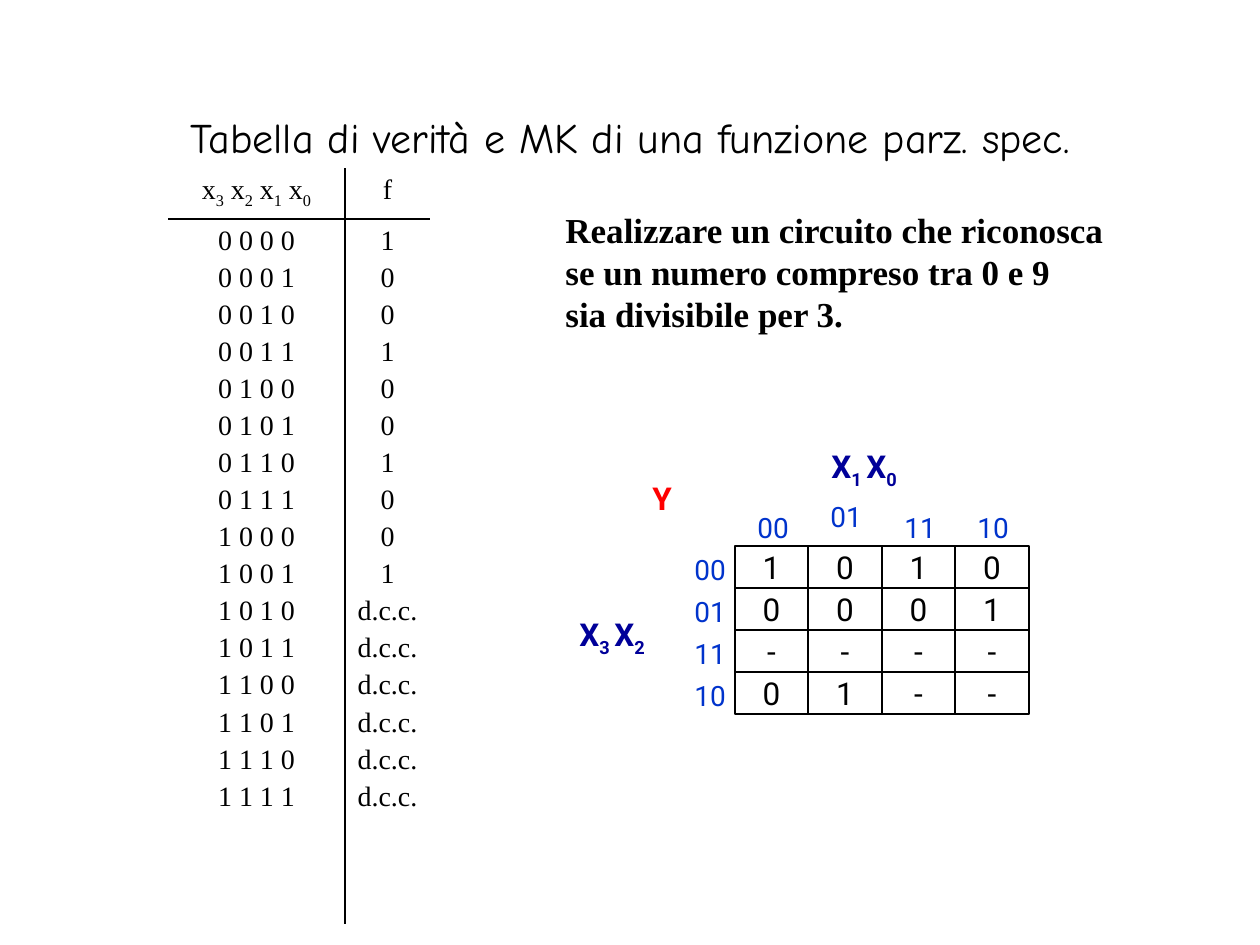
from dataclasses import dataclass

from lxml.etree import SubElement
from pptx import Presentation
from pptx.dml.color import RGBColor
from pptx.enum.shapes import MSO_SHAPE
from pptx.enum.text import MSO_ANCHOR, MSO_AUTO_SIZE, PP_ALIGN
from pptx.oxml.ns import qn
from pptx.util import Emu, Pt


@dataclass(frozen=True)
class TextStyle:
    font: str
    size: int
    color: str = "000000"
    bold: bool = False


@dataclass(frozen=True)
class Theme:
    title: TextStyle = TextStyle("Comic Neue", 24)
    truth: TextStyle = TextStyle("Times New Roman", 16)
    task: TextStyle = TextStyle("Times New Roman", 20, bold=True)
    value: TextStyle = TextStyle("Roboto", 18)
    code: TextStyle = TextStyle("Roboto", 16, "0033CC")
    variable: TextStyle = TextStyle("Roboto", 18, "000099", True)
    output: TextStyle = TextStyle("Roboto", 18, "FF0000", True)
    rule: str = "000000"
    rule_width: float = 1.08
    cell_line: float = 0.75
    row_gap: float = 3.4


@dataclass(frozen=True)
class Box:
    left: int
    top: int
    width: int
    height: int

    def emu(self) -> tuple:
        return tuple(px(v) for v in (self.left, self.top, self.width, self.height))


@dataclass(frozen=True)
class Label:
    box: Box
    lines: tuple
    style: TextStyle
    wrap: bool = False


THEME = Theme()
PX_PER_INCH = 126
GRAY_CODES = ("00", "01", "11", "10")
KARNAUGH = ("1010", "0001", "----", "01--")
TRUTH_OUTPUTS = ("1", "0", "0", "1", "0", "0", "1", "0", "0", "1") + ("d.c.c.",) * 6
MAP = Box(735, 546, 294, 168)


def px(length: int) -> Emu:
    return Emu(round(length * 914400 / PX_PER_INCH))


def format_run(run, style: TextStyle) -> None:
    run.font.name = style.font
    run.font.size = Pt(style.size)
    run.font.bold = style.bold
    run.font.color.rgb = RGBColor.from_string(style.color)


def write_lines(frame, lines: tuple, style: TextStyle, align=PP_ALIGN.LEFT, gap: float = 0) -> None:
    for index, line in enumerate(lines):
        paragraph = frame.add_paragraph() if index else frame.paragraphs[0]
        paragraph.alignment = align
        if index and gap:
            paragraph.space_before = Pt(gap)
        if isinstance(line, str):
            paragraph.text = line
            format_run(paragraph.runs[0], style)
            continue
        for position, part in enumerate(line):
            run = paragraph.add_run()
            run.text = part
            format_run(run, style)
            if position % 2:
                run.font._element.set("baseline", "-25000")


def add_label(slide, label: Label) -> None:
    frame = slide.shapes.add_textbox(*label.box.emu()).text_frame
    frame.word_wrap = label.wrap
    frame.auto_size = MSO_AUTO_SIZE.SHAPE_TO_FIT_TEXT
    write_lines(frame, label.lines, label.style)


def set_borders(cell, ruled: str) -> None:
    properties = cell._tc.get_or_add_tcPr()
    for side in "LRTB":
        line = SubElement(properties, qn(f"a:ln{side}"), w=str(Pt(THEME.rule_width)))
        if side in ruled:
            fill = SubElement(line, qn("a:solidFill"))
            SubElement(fill, qn("a:srgbClr"), val=THEME.rule)
        else:
            SubElement(line, qn("a:noFill"))
    cell.fill.background()


def add_truth_table(slide) -> None:
    table = slide.shapes.add_table(2, 2, *Box(168, 168, 262, 756).emu()).table
    table.first_row = table.horz_banding = False
    for column, width in zip(table.columns, (177, 85)):
        column.width = px(width)
    for row, height in zip(table.rows, (51, 705)):
        row.height = px(height)
    inputs = tuple(" ".join(f"{number:04b}") for number in range(16))
    contents = (
        ((("x", "3", " x", "2", " x", "1", " x", "0"),), ("f",)),
        (inputs, TRUTH_OUTPUTS),
    )
    for row, entries in enumerate(contents):
        for column, lines in enumerate(entries):
            cell = table.cell(row, column)
            write_lines(cell.text_frame, lines, THEME.truth, PP_ALIGN.CENTER, THEME.row_gap)
            set_borders(cell, "RL"[column] + "BT"[row])


def add_map_cell(slide, box: Box, value: str) -> None:
    square = slide.shapes.add_shape(MSO_SHAPE.RECTANGLE, *box.emu())
    square.shadow.inherit = False
    square.fill.background()
    square.line.color.rgb = RGBColor.from_string(THEME.rule)
    square.line.width = Pt(THEME.cell_line)
    square.text_frame.word_wrap = False
    square.text_frame.vertical_anchor = MSO_ANCHOR.MIDDLE
    write_lines(square.text_frame, (value,), THEME.value, PP_ALIGN.CENTER)


def add_karnaugh_map(slide) -> None:
    lefts = [MAP.left + MAP.width * step // 4 for step in range(5)]
    tops = [MAP.top + MAP.height * step // 4 for step in range(5)]
    for row, values in enumerate(KARNAUGH):
        for column, value in enumerate(values):
            width = lefts[column + 1] - lefts[column]
            height = tops[row + 1] - tops[row]
            add_map_cell(slide, Box(lefts[column], tops[row], width, height), value)
    for code, left, top in zip(GRAY_CODES, lefts, tops):
        header_top = 493 if code == "01" else 504
        add_label(slide, Label(Box(left + 10, header_top, 57, 47), (code,), THEME.code))
        add_label(slide, Label(Box(682, top, 57, 47), (code,), THEME.code))


def main() -> None:
    deck = Presentation()
    deck.slide_width, deck.slide_height = px(1260), px(945)
    slide = deck.slides.add_slide(deck.slide_layouts[5])

    title = slide.shapes.title
    title.left, title.top, title.width, title.height = Box(94, 84, 1072, 105).emu()
    title.text_frame.vertical_anchor = MSO_ANCHOR.MIDDLE
    write_lines(
        title.text_frame,
        ("Tabella di verità e MK di una funzione parz. spec.",),
        THEME.title,
        PP_ALIGN.CENTER,
    )

    add_truth_table(slide)
    add_karnaugh_map(slide)
    task = (
        "Realizzare un circuito che riconosca",
        "se un numero compreso tra 0 e 9",
        "sia divisibile per 3.",
    )
    labels = (
        Label(Box(553, 202, 573, 139), task, THEME.task),
        Label(Box(640, 473, 63, 50), ("Y",), THEME.output, True),
        Label(Box(567, 609, 116, 55), (("X", "3 ", "X", "2"),), THEME.variable, True),
        Label(Box(819, 441, 126, 55), (("X", "1 ", "X", "0"),), THEME.variable, True),
    )
    for label in labels:
        add_label(slide, label)
    deck.save("out.pptx")


if __name__ == "__main__":
    main()
